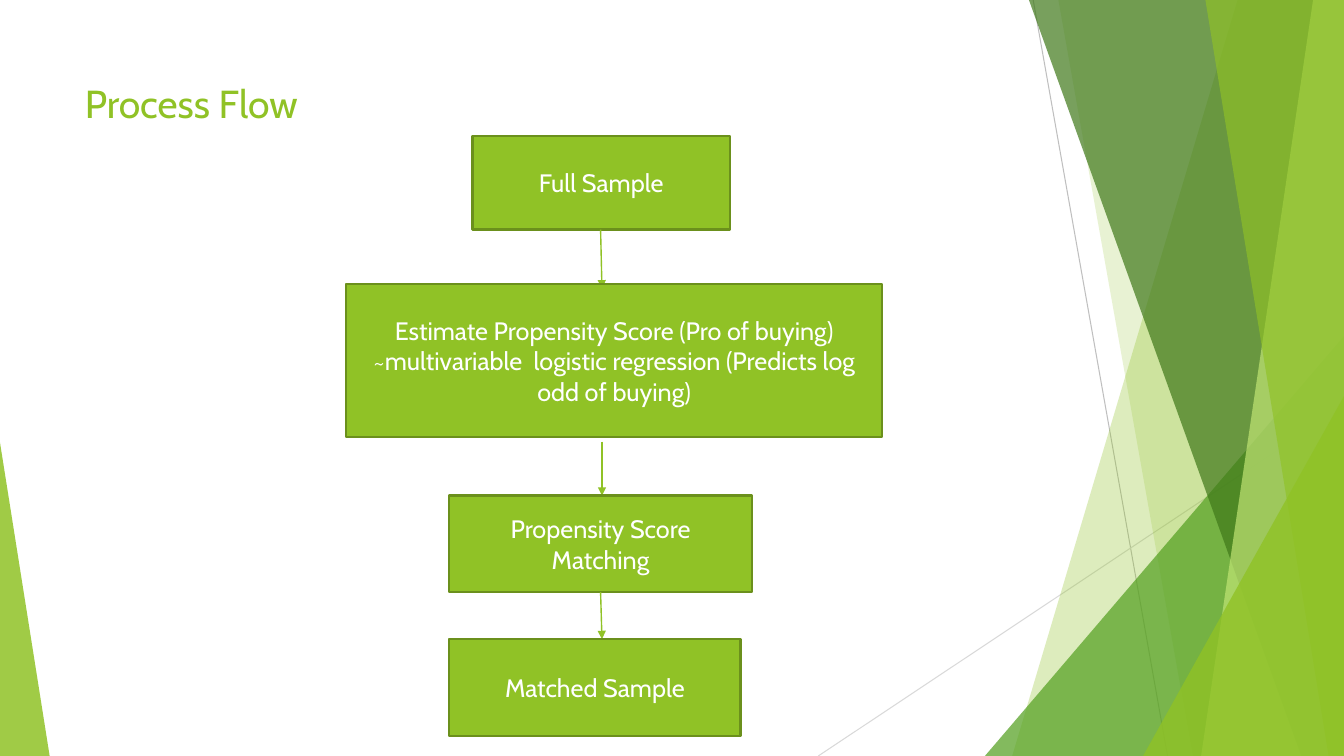
from dataclasses import dataclass

from lxml import etree
from pptx import Presentation
from pptx.dml.color import RGBColor
from pptx.enum import shapes, text
from pptx.oxml import ns
from pptx.util import Pt


@dataclass(frozen=True)
class Theme:
    """Colours, font and type sizes of the slide."""
    lime: str = "90C226"
    green: str = "54A021"
    forest: str = "3F7819"
    pale: str = "C0E474"
    edge: str = "6B901C"
    white: str = "FFFFFF"
    grey: str = "BFBFBF"
    light_grey: str = "D9D9D9"
    font: str = "Cabin"
    title_size: float = 27.9
    body_size: float = 18


THEME = Theme()
SLIDE_BOX = (0, 0, 960, 540)
TITLE_BOX = (53.5, 48, 677, 41)
FLOW_BOX = (247.5, 97, 382.5, 428.5)
STEPS = [
    ((90, 0, 184, 67), ["Full Sample"]),
    ((0, 106, 382.5, 109.5), ["Estimate Propensity Score (Pro of buying)",
                              "~multivariable  logistic regression (Predicts log odd of buying)"]),
    ((73.5, 257, 216, 69), ["Propensity Score Matching"]),
    ((73.5, 359.5, 208, 69), ["Matched Sample"]),
]
ARROWS = [(181.5, 67, 182.5, 109), (182.5, 218.5, 182.5, 257), (181.5, 326, 182.5, 359.5)]


def apply(target, formats):
    """Set every attribute in formats on target."""
    for name, value in formats.items():
        setattr(target, name, value)


def paint(shape, color, opacity=100, edge=None):
    """Fill a shape, with optional transparency and outline."""
    shape.shadow.inherit = False
    shape.fill.solid()
    shape.fill.fore_color.rgb = RGBColor.from_string(color)
    if opacity < 100:
        color_element = shape.fill._xPr.find(".//" + ns.qn("a:srgbClr"))
        etree.SubElement(color_element, ns.qn("a:alpha"), val=str(opacity * 1000))
    if edge:
        shape.line.color.rgb = RGBColor.from_string(edge)
        shape.line.width = Pt(1.5)
    else:
        shape.line.fill.background()


def write(shape, lines, size, color, frame_formats, alignment):
    """Write one paragraph for each line into a shape."""
    frame = shape.text_frame
    apply(frame, {"word_wrap": True, **frame_formats})
    for index, line in enumerate(lines):
        paragraph = frame.paragraphs[0] if index == 0 else frame.add_paragraph()
        paragraph.alignment = alignment
        run = paragraph.add_run()
        run.text = line
        apply(run.font, {"name": THEME.font, "size": Pt(size)})
        run.font.color.rgb = RGBColor.from_string(color)


def add_line(slide, ends, color, width, arrow=False):
    """Draw a straight line, with an arrowhead at its end if asked."""
    line = slide.shapes.add_connector(shapes.MSO_CONNECTOR.STRAIGHT, *map(Pt, ends))
    line.line.color.rgb = RGBColor.from_string(color)
    line.line.width = Pt(width)
    if arrow:
        etree.SubElement(line.line._get_or_add_ln(), ns.qn("a:tailEnd"), type="triangle")
    etree.SubElement(line._element.spPr, ns.qn("a:effectLst"))


def add_band(slide, box, top_x, bottom_x, color, opacity):
    """Draw a band from a slanted left side to the right edge of the box."""
    left, top, width, height = box
    right, bottom = left + width, top + height
    builder = slide.shapes.build_freeform(Pt(left + top_x), Pt(top))
    corners = [(right, top), (right, bottom), (left + bottom_x, bottom)]
    builder.add_line_segments([(Pt(x), Pt(y)) for x, y in corners])
    paint(builder.convert_to_shape(), color, opacity)


def add_wedge(slide, box, start, width, height, apex, color, opacity):
    """Draw a right triangle standing on the bottom of the box."""
    left, top = box[0] + start, box[1] + box[3] - height
    wedge = slide.shapes.add_shape(shapes.MSO_SHAPE.ISOSCELES_TRIANGLE,
                                   *map(Pt, (left, top, width, height)))
    wedge.adjustments[0] = apex
    paint(wedge, color, opacity)


def add_backdrop(slide, box):
    """Draw the thin lines and overlapping facets behind the content."""
    left, top, width, height = box
    right, bottom = left + width, top + height
    add_line(slide, (left + 738, top, left + 834, bottom), THEME.grey, 0.75)
    add_line(slide, (right, top + 290, left + 584.5, bottom), THEME.light_grey, 0.75)
    add_band(slide, box, 884, 723, THEME.lime, 30)
    add_band(slide, box, 756, 852, THEME.lime, 20)
    add_wedge(slide, box, 703.5, 256.5, 300, 1, THEME.green, 72)
    add_band(slide, box, 735, 929.5, THEME.forest, 70)
    add_band(slide, box, 938, 858, THEME.pale, 70)
    add_band(slide, box, 861, 949, THEME.lime, 65)
    add_wedge(slide, box, 816.5, 143.5, 257, 1, THEME.lime, 80)
    add_wedge(slide, box, 0, 35.5, 224, 0, THEME.lime, 85)


def add_title(slide, box):
    """Write the slide title."""
    title = slide.shapes.add_textbox(*map(Pt, box))
    write(title, ["Process Flow"], THEME.title_size, THEME.lime,
          {"vertical_anchor": text.MSO_ANCHOR.TOP, "margin_top": Pt(8.5)},
          text.PP_ALIGN.LEFT)


def add_flow(slide, box):
    """Draw the process steps with an arrow after each but the last."""
    left, top = box[:2]
    for index, ((x, y, width, height), lines) in enumerate(STEPS):
        step = slide.shapes.add_shape(shapes.MSO_SHAPE.RECTANGLE,
                                      *map(Pt, (left + x, top + y, width, height)))
        paint(step, THEME.lime, edge=THEME.edge)
        write(step, lines, THEME.body_size, THEME.white,
              {"vertical_anchor": text.MSO_ANCHOR.MIDDLE}, text.PP_ALIGN.CENTER)
        if index < len(ARROWS):
            x1, y1, x2, y2 = ARROWS[index]
            add_line(slide, (left + x1, top + y1, left + x2, top + y2), THEME.lime, 1, True)


def main():
    """Build and save the slide."""
    presentation = Presentation()
    apply(presentation, {"slide_width": Pt(SLIDE_BOX[2]), "slide_height": Pt(SLIDE_BOX[3])})
    slide = presentation.slides.add_slide(presentation.slide_layouts[6])
    add_backdrop(slide, SLIDE_BOX)
    add_title(slide, TITLE_BOX)
    add_flow(slide, FLOW_BOX)
    presentation.save("out.pptx")


if __name__ == "__main__":
    main()
